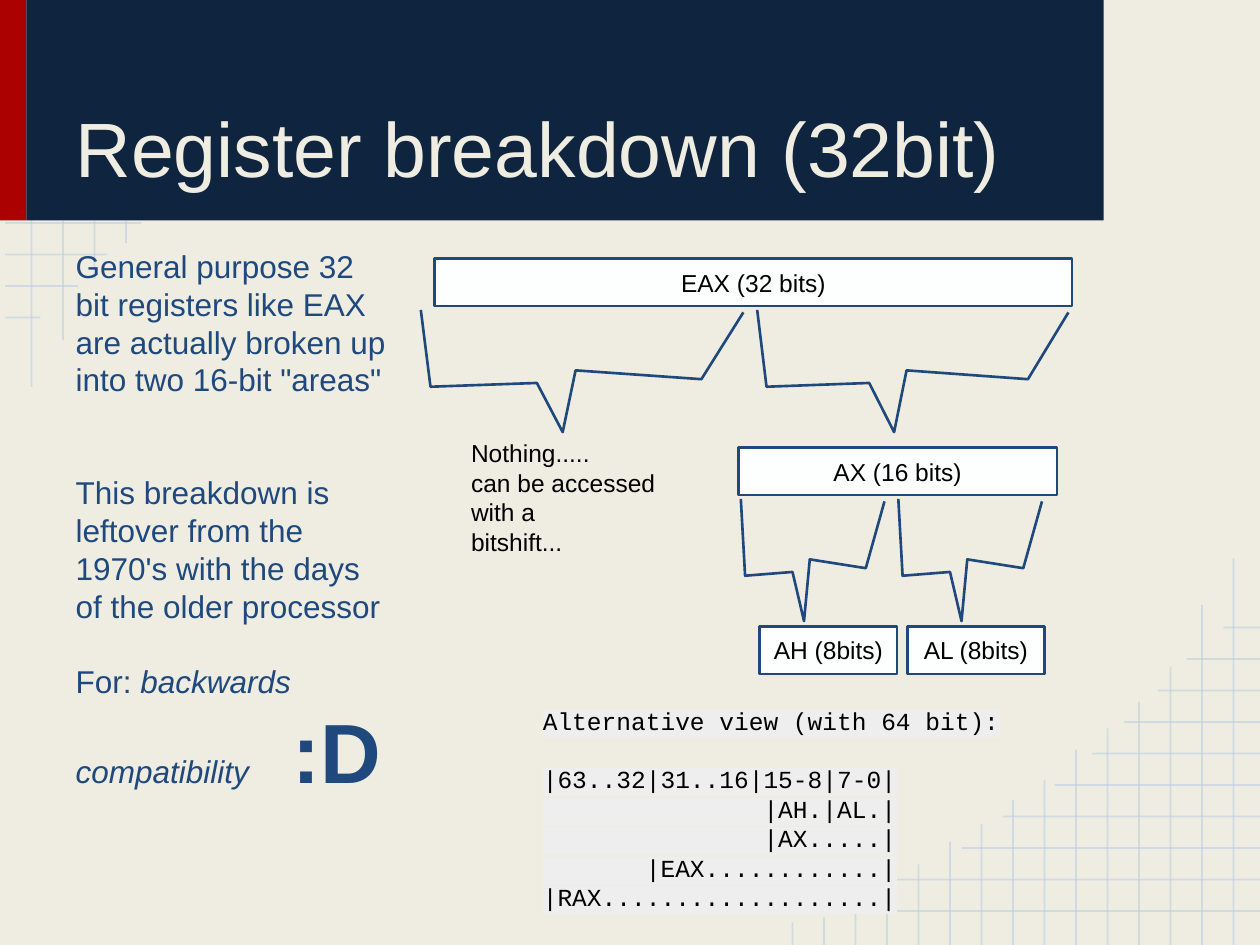
from copy import deepcopy

from pptx import Presentation
from pptx.dml.color import RGBColor
from pptx.enum.shapes import MSO_CONNECTOR, MSO_SHAPE
from pptx.enum.text import MSO_ANCHOR, MSO_AUTO_SIZE, PP_ALIGN
from pptx.oxml.ns import qn
from pptx.oxml.xmlchemy import OxmlElement
from pptx.util import Inches, Pt

STRAIGHT, RECTANGLE = MSO_CONNECTOR.STRAIGHT, MSO_SHAPE.RECTANGLE
TOP, MIDDLE, BOTTOM = MSO_ANCHOR.TOP, MSO_ANCHOR.MIDDLE, MSO_ANCHOR.BOTTOM
LEFT, CENTER = PP_ALIGN.LEFT, PP_ALIGN.CENTER
NO_AUTOFIT = MSO_AUTO_SIZE.NONE

CREAM, NAVY, RED, BLUE = "EFEDE2", "0F243E", "AB0101", "1F497D"
WHITE, BLACK, GRID, HIGHLIGHT = "FDFFFF", "000000", "B7CCE4", "EEEEEE"
HEADER_BOTTOM, GRID_STEP = 1.75, 0.25

TITLE = "Register breakdown (32bit)"
BODY = [
    ('General purpose 32 bit registers like EAX are actually broken up into two 16-bit "areas"', 0),
    ("This breakdown is leftover from the 1970's with the days of the older processor", 43),
    ("For: ", 21.5),
]
REGISTERS = [
    ("EAX (32 bits)", 3.45, 2.05, 5.06),
    ("AX (16 bits)", 5.86, 3.55, 2.53),
    ("AH (8bits)", 6.03, 4.97, 1.09),
    ("AL (8bits)", 7.2, 4.97, 1.09),
]
BRACKETS = [(3.34, 2.46, 2.56), (6.01, 2.46, 2.47), (5.88, 3.96, 1.14), (7.13, 3.96, 1.14)]
BRACKET_OUTLINE = [(1, 0.02), (0.87, 0.55), (0.48, 0.48), (0.44, 0.97),
                   (0.36, 0.58), (0.03, 0.61), (0, 0)]
NOTE = ["Nothing.....", "can be accessed with a\vbitshift..."]
BIT_ROWS = ["|63..32|31..16|15-8|7-0|", "|AH.|AL.|", "|AX.....|",
            "|EAX............|", "|RAX...................|"]
BIT_VIEW = ["Alternative view (with 64 bit):",
            "\v".join(row.rjust(len(BIT_ROWS[0])) for row in BIT_ROWS)]

LEFT_ROW_ENDS = [1.12, 0.85, 0.62, 0.32]
LEFT_COLUMN_ENDS = [3.07, 2.7, 2.21, 1.93]
RIGHT_ROW_STARTS = [6.44, 7.08, 7.63, 7.96, 8.37, 8.67, 8.92, 9.19, 9.42, 9.71]
RIGHT_COLUMN_STARTS = [4.43, 4.8, 5.29, 5.57, 5.78, 5.95, 6.19, 6.35,
                       6.54, 6.68, 6.86, 7.07, 7.18, 7.28, 7.32]


def color(value):
    return RGBColor.from_string(value)


def add_grid_line(x1, y1, x2, y2):
    line = slide.shapes.add_connector(
        STRAIGHT, Inches(x1), Inches(y1), Inches(x2), Inches(y2))
    line.line.width = Pt(1)
    line.line.color.rgb = color(GRID)
    alpha = OxmlElement("a:alpha")
    alpha.set("val", "54000")
    line._element.spPr.find(".//" + qn("a:srgbClr")).append(alpha)
    line._element.spPr.append(OxmlElement("a:effectLst"))


def style_shape(shape, fill=None, line=None):
    shape.shadow.inherit = False
    if fill:
        shape.fill.solid()
        shape.fill.fore_color.rgb = color(fill)
    else:
        shape.fill.background()
    if line:
        shape.line.color.rgb = color(line)
        shape.line.width = Pt(1.5)
    else:
        shape.line.fill.background()


def add_rectangle(left, top, width, height, fill, line=None):
    shape = slide.shapes.add_shape(
        RECTANGLE, Inches(left), Inches(top), Inches(width), Inches(height))
    style_shape(shape, fill, line)
    return shape


def format_frame(text_frame, anchor=TOP):
    text_frame.word_wrap = True
    text_frame.auto_size = NO_AUTOFIT
    text_frame.vertical_anchor = anchor
    text_frame.margin_left = text_frame.margin_right = Inches(0.1)
    text_frame.margin_top = text_frame.margin_bottom = Inches(0.1)


def format_paragraph(paragraph, size, font_color, font="Arial", align=LEFT, before=0):
    paragraph.alignment = align
    paragraph.line_spacing = 1.0
    paragraph.space_before = Pt(before)
    for run in paragraph.runs:
        run.font.size = Pt(size)
        run.font.name = font
        run.font.color.rgb = color(font_color)


def add_text_lines(box, lines, font="Arial", gap=0, highlight=None):
    frame = slide.shapes.add_textbox(*[Inches(value) for value in box]).text_frame
    format_frame(frame)
    frame.text = "\n".join(lines)
    for index, paragraph in enumerate(frame.paragraphs):
        format_paragraph(paragraph, 14, BLACK, font, before=gap * index)
        for run in paragraph.runs:
            if highlight:
                mark = OxmlElement("a:highlight")
                mark_color = OxmlElement("a:srgbClr")
                mark_color.set("val", highlight)
                mark.append(mark_color)
                run._r.rPr.find(qn("a:solidFill")).addnext(mark)
        for line_break in paragraph._p.findall(qn("a:br")):
            line_break.append(deepcopy(paragraph.runs[0]._r.rPr))


def place(shape, left, top, width, height):
    shape.left, shape.top = Inches(left), Inches(top)
    shape.width, shape.height = Inches(width), Inches(height)
    slide.shapes._spTree.append(shape._element)


presentation = Presentation()
presentation.slide_width, presentation.slide_height = Inches(10), Inches(7.5)
slide = presentation.slides.add_slide(presentation.slide_layouts[1])
slide.background.fill.solid()
slide.background.fill.fore_color.rgb = color(CREAM)

for index, end in enumerate(LEFT_ROW_ENDS):
    y = 1.77 + index * GRID_STEP
    add_grid_line(0.04, y, end, y)
for index, end in enumerate(LEFT_COLUMN_ENDS):
    x = (index + 1) * GRID_STEP
    add_grid_line(x, end, x, HEADER_BOTTOM)
for index, start in enumerate(RIGHT_ROW_STARTS):
    y = 7.23 - index * GRID_STEP
    add_grid_line(10, y, start, y)
for index, start in enumerate(RIGHT_COLUMN_STARTS):
    x = 9.79 - index * GRID_STEP
    add_grid_line(x, start, x, 7.5)

add_rectangle(0, 0, 0.21, HEADER_BOTTOM, RED)
add_rectangle(0.21, 0, 8.55, HEADER_BOTTOM, NAVY)

title, body = slide.shapes.title, slide.placeholders[1]
place(title, 0.5, 0.15, 8, 1.48)
title.text_frame.text = TITLE
format_frame(title.text_frame, BOTTOM)
format_paragraph(title.text_frame.paragraphs[0], 44, CREAM)

place(body, 0.5, 1.86, 2.69, 5.29)
body.text_frame.text = "\n".join(text for text, before in BODY)
format_frame(body.text_frame)
compatibility = body.text_frame.paragraphs[-1]
phrase, gap, smile = [compatibility.add_run() for _ in range(3)]
phrase.text, gap.text, smile.text = "backwards compatibility", " ", ":D"
for paragraph, (text, before) in zip(body.text_frame.paragraphs, BODY):
    format_paragraph(paragraph, 18, BLUE, before=before)
    properties = paragraph._p.get_or_add_pPr()
    properties.set("marL", "0")
    properties.set("indent", "0")
    properties.append(OxmlElement("a:buNone"))
phrase.font.italic = True
gap._r.get_or_add_rPr().set("spc", "2000")
smile.font.size, smile.font.bold = Pt(48), True

for text, left, top, width in REGISTERS:
    register = add_rectangle(left, top, width, 0.38, WHITE, BLUE)
    register.text_frame.text = text
    format_frame(register.text_frame, MIDDLE)
    format_paragraph(register.text_frame.paragraphs[0], 14, BLACK, align=CENTER)

for left, top, width in BRACKETS:
    points = [(Inches(left + x * width), Inches(top + y)) for x, y in BRACKET_OUTLINE]
    builder = slide.shapes.build_freeform(*points[0])
    builder.add_line_segments(points[1:], close=False)
    style_shape(builder.convert_to_shape(), line=BLUE)

add_text_lines((3.64, 3.38, 1.83, 0.42), NOTE)
add_text_lines((4.21, 5.5, 5.58, 1.67), BIT_VIEW, "Courier New", 16.8, HIGHLIGHT)

presentation.save("out.pptx")
